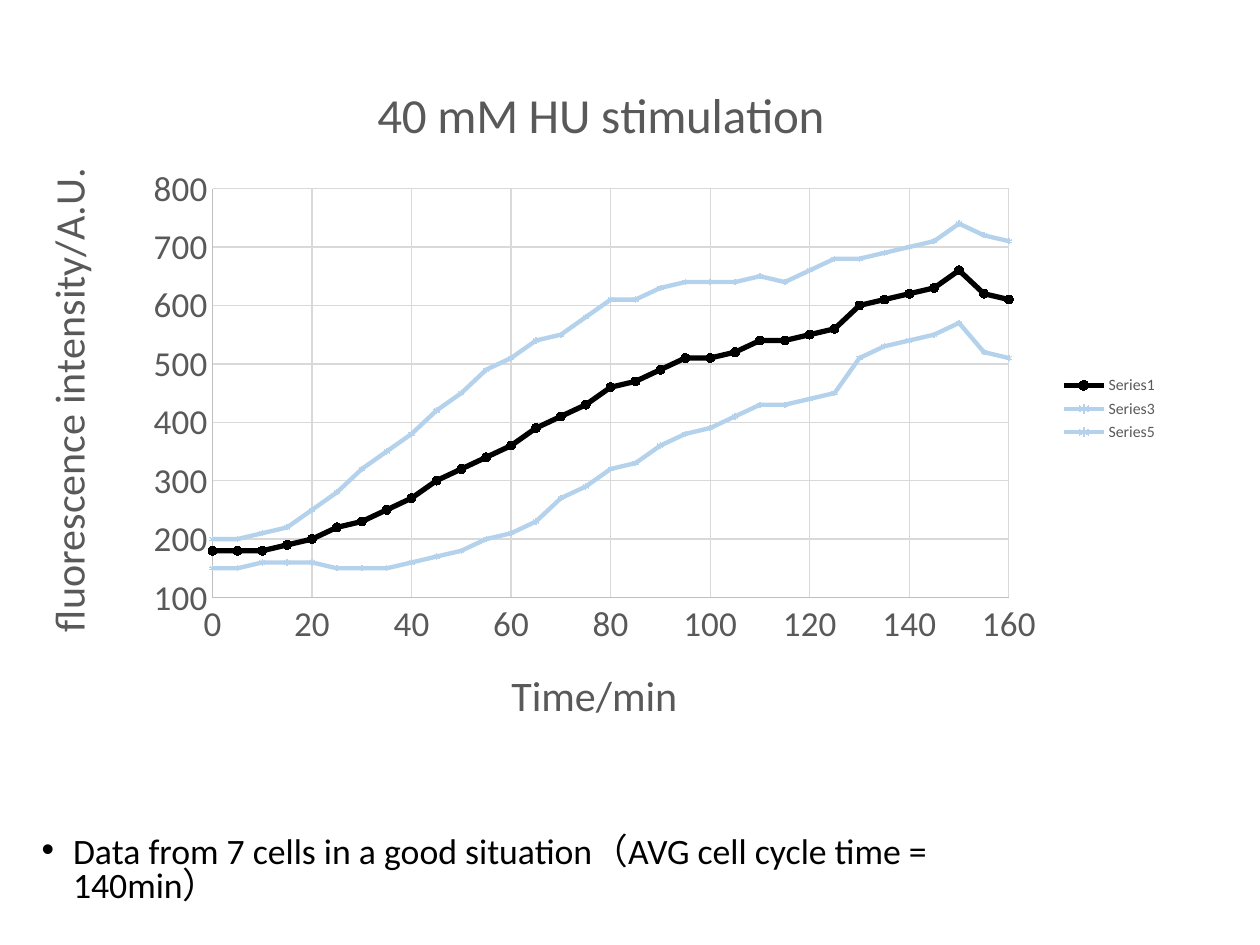
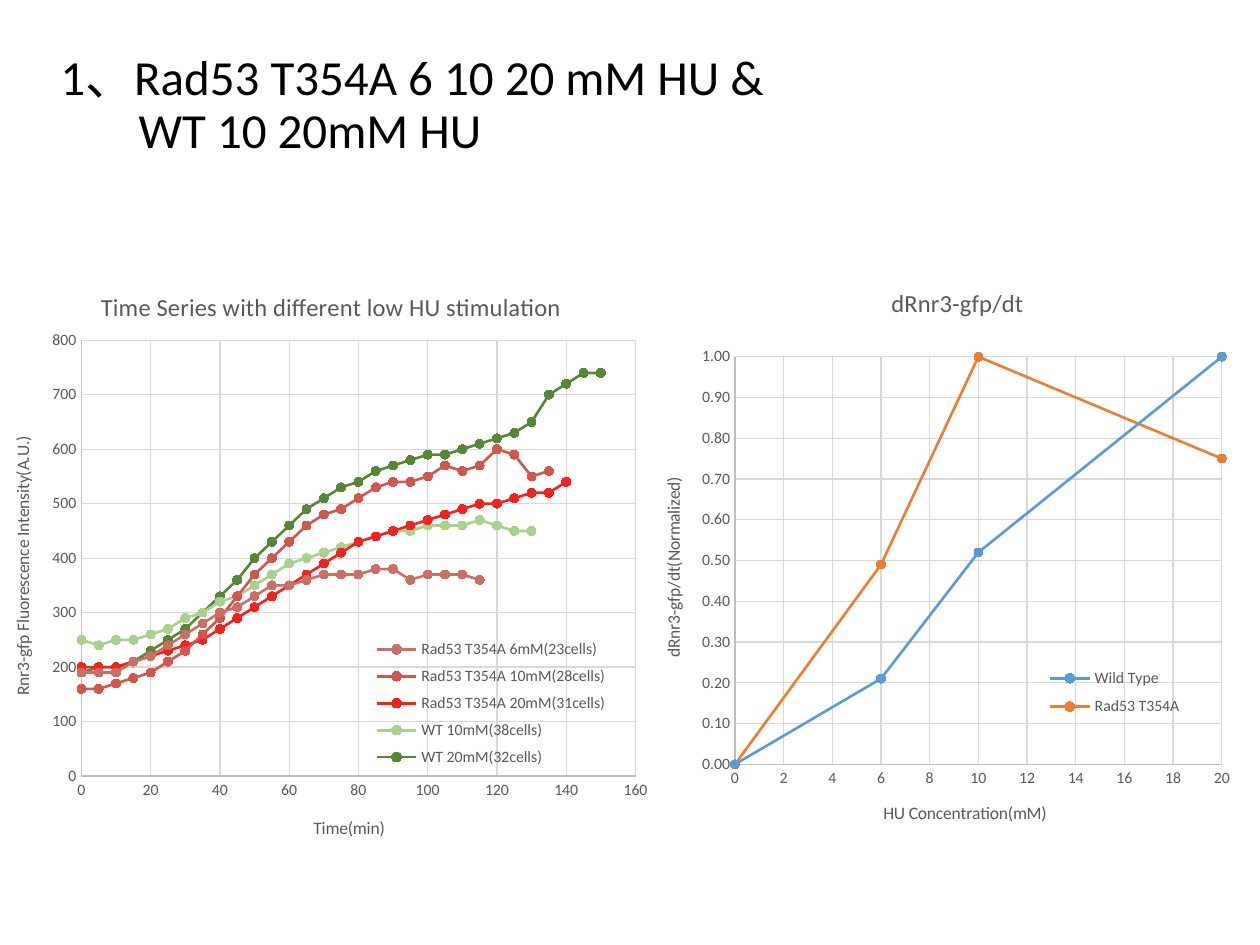
from lxml import etree
from pptx import Presentation
from pptx.chart.data import XyChartData
from pptx.dml.color import RGBColor
from pptx.enum.chart import XL_CHART_TYPE, XL_LEGEND_POSITION, XL_MARKER_STYLE, XL_TICK_MARK
from pptx.enum.text import MSO_ANCHOR, MSO_AUTO_SIZE, PP_ALIGN
from pptx.oxml.ns import qn
from pptx.util import Inches, Pt

SCATTER = XL_CHART_TYPE.XY_SCATTER_LINES
LEGEND_RIGHT = XL_LEGEND_POSITION.RIGHT
CIRCLE, STAR = XL_MARKER_STYLE.CIRCLE, XL_MARKER_STYLE.STAR
NO_TICK = XL_TICK_MARK.NONE
LEFT, MIDDLE = PP_ALIGN.LEFT, MSO_ANCHOR.MIDDLE
NO_FIT = MSO_AUTO_SIZE.NONE

FONT = "Calibri"
COLORS = {
    "text": "000000", "label": "595959", "grid": "D9D9D9", "axis": "BFBFBF",
    "mean": "000000", "band": "B5D2EC",
    "mutant6": "CB6F65", "mutant10": "D1564D", "mutant20": "F4211C",
    "wild10": "A9D18E", "wild20": "568636",
    "blue": "5B9BD5", "orange": "ED7D31",
}
STEP_MINUTES = 5
DOSES = [0, 6, 10, 20]

NOTE = "Data from 7 cells in a good situation（AVG cell cycle time = 140min）"
NOTE_BOX = (0.23, 6.59, 8.44, 0.58)
TITLE_LINES = [("1、Rad53 T354A 6 10 20 mM HU &", 0), ("WT 10 20mM HU", 0.62)]
TITLE_BOX = (0.38, 0.12, 8.62, 1.45)

STIMULATION = {
    "box": (0.26, 0.48, 9.03, 5.53),
    "plot": (0.158, 0.184, 0.7, 0.587),
    "title": ("40 mM HU stimulation", 28, (0.295, 0.018)),
    "x": {"title": ("Time/min", 24, (0.414, 0.86)), "size": 20, "scale": (0, 160, 20)},
    "y": {"title": ("fluorescence intensity/A.U.", 24, (0, 0.144)), "size": 20,
          "scale": (100, 800, 100)},
    "format": "General",
    "legend": None,
    "series": [
        ("Series1", "mean", 3, CIRCLE, 5,
         [180, 180, 180, 190, 200, 220, 230, 250, 270, 300, 320, 340, 360, 390, 410, 430, 460,
          470, 490, 510, 510, 520, 540, 540, 550, 560, 600, 610, 620, 630, 660, 620, 610]),
        ("Series3", "band", 2.5, STAR, 3,
         [200, 200, 210, 220, 250, 280, 320, 350, 380, 420, 450, 490, 510, 540, 550, 580, 610,
          610, 630, 640, 640, 640, 650, 640, 660, 680, 680, 690, 700, 710, 740, 720, 710]),
        ("Series5", "band", 2.5, STAR, 3,
         [150, 150, 160, 160, 160, 150, 150, 150, 160, 170, 180, 200, 210, 230, 270, 290, 320,
          330, 360, 380, 390, 410, 430, 430, 440, 450, 510, 530, 540, 550, 570, 520, 510]),
    ],
}
TIME_SERIES = {
    "box": (-0.06, 2.12, 5.39, 4.88),
    "plot": (0.131, 0.119, 0.816, 0.709),
    "title": ("Time Series with different low HU stimulation", 14, (0.153, 0.03)),
    "x": {"title": ("Time(min)", 10, (0.468, 0.889)), "size": 9, "scale": (0, 160, 20)},
    "y": {"title": ("Rnr3-gfp Fluorescence Intensity(A.U.)", 10, (0.023, 0.27)), "size": 9,
          "scale": (0, 800, 100)},
    "format": "General",
    "legend": (0.559, 0.593, 0.35, 0.233),
    "series": [
        ("Rad53 T354A 6mM(23cells)", "mutant6", 1.5, CIRCLE, 5,
         [190, 190, 190, 210, 220, 240, 260, 280, 300, 310, 330, 350, 350, 360, 370, 370, 370,
          380, 380, 360, 370, 370, 370, 360]),
        ("Rad53 T354A 10mM(28cells)", "mutant10", 1.5, CIRCLE, 5,
         [160, 160, 170, 180, 190, 210, 230, 260, 290, 330, 370, 400, 430, 460, 480, 490, 510,
          530, 540, 540, 550, 570, 560, 570, 600, 590, 550, 560]),
        ("Rad53 T354A 20mM(31cells)", "mutant20", 1.5, CIRCLE, 5,
         [200, 200, 200, 210, 220, 230, 240, 250, 270, 290, 310, 330, 350, 370, 390, 410, 430,
          440, 450, 460, 470, 480, 490, 500, 500, 510, 520, 520, 540]),
        ("WT 10mM(38cells)", "wild10", 1.5, CIRCLE, 5,
         [250, 240, 250, 250, 260, 270, 290, 300, 320, 330, 350, 370, 390, 400, 410, 420, 430,
          440, 450, 450, 460, 460, 460, 470, 460, 450, 450]),
        ("WT 20mM(32cells)", "wild20", 1.5, CIRCLE, 5,
         [190, 200, 200, 210, 230, 250, 270, 300, 330, 360, 400, 430, 460, 490, 510, 530, 540,
          560, 570, 580, 590, 590, 600, 610, 620, 630, 650, 700, 720, 740, 740]),
    ],
}
DOSE_RESPONSE = {
    "box": (5.2, 2.09, 4.8, 4.88),
    "plot": (0.132, 0.152, 0.805, 0.663),
    "title": ("dRnr3-gfp/dt", 14, (0.383, 0.029)),
    "x": {"title": ("HU Concentration(mM)", 10, (0.372, 0.871)), "size": 9, "scale": (0, 20, 2)},
    "y": {"title": ("dRnr3-gfp/dt(Normalized)", 10, (0.006, 0.342)), "size": 9,
          "scale": (0, 1, 0.1)},
    "format": "0.00",
    "legend": (0.645, 0.644, 0.23, 0.108),
    "doses": DOSES,
    "series": [
        ("Wild Type", "blue", 1.5, CIRCLE, 5, [0, 0.21, 0.52, 1]),
        ("Rad53 T354A", "orange", 1.5, CIRCLE, 5, [0, 0.49, 1, 0.75]),
    ],
}


def color(name):
    return RGBColor.from_string(COLORS[name])


def apply(target, values):
    for name, value in values.items():
        setattr(target, name, value)


def format_font(font, size, color_name):
    apply(font, {"size": Pt(size), "name": FONT, "bold": False})
    font.color.rgb = color(color_name)


def format_line(line, color_name, width):
    line.color.rgb = color(color_name)
    line.width = Pt(width)


def place(shape, box):
    apply(shape, dict(zip(("left", "top", "width", "height"), map(Inches, box))))


def set_layout(element, shares, index=0, inner=False):
    layout = element.find(qn("c:layout"))
    if layout is None:
        layout = etree.Element(qn("c:layout"))
        element.insert(index, layout)
    manual = etree.SubElement(layout, qn("c:manualLayout"))
    settings = [("layoutTarget", "inner")] if inner else []
    settings += [("xMode", "edge"), ("yMode", "edge")] + list(zip("xywh", shares))
    for tag, value in settings:
        etree.SubElement(manual, qn("c:" + tag)).set("val", str(value))


def add_heading(title, content):
    text, size, position = content
    title.text_frame.text = text
    format_font(title.text_frame.paragraphs[0].runs[0].font, size, "label")
    set_layout(title._element, position, index=1)


def format_axis(axis, settings):
    low, high, step = settings["scale"]
    apply(axis, {"minimum_scale": low, "maximum_scale": high, "major_unit": step,
                 "major_tick_mark": NO_TICK, "minor_tick_mark": NO_TICK,
                 "has_major_gridlines": True, "has_title": True})
    format_line(axis.major_gridlines.format.line, "grid", 0.75)
    format_line(axis.format.line, "axis", 0.75)
    format_font(axis.tick_labels.font, settings["size"], "label")
    add_heading(axis.axis_title, settings["title"])


def build_data(content):
    data = XyChartData()
    count = max(len(values) for *_, values in content["series"])
    positions = content.get("doses") or [STEP_MINUTES * i for i in range(count)]
    for name, *_, values in content["series"]:
        series = data.add_series(name)
        padded = values + [None] * (count - len(values))
        for position, value in zip(positions, padded):
            series.add_data_point(position, value)
    return data


def drop_blank_points(chart):
    for point in list(chart._chartSpace.iter(qn("c:pt"))):
        if point.findtext(qn("c:v")) in ("None", ""):
            point.getparent().remove(point)


def add_scatter(slide, content):
    box = map(Inches, content["box"])
    chart = slide.shapes.add_chart(SCATTER, *box, build_data(content)).chart
    drop_blank_points(chart)
    format_font(chart.font, 10, "text")
    apply(chart, {"has_title": True, "has_legend": True})
    add_heading(chart.chart_title, content["title"])
    format_axis(chart.category_axis, content["x"])
    format_axis(chart.value_axis, content["y"])
    apply(chart.value_axis.tick_labels,
          {"number_format": content["format"], "number_format_is_linked": False})
    body = chart.value_axis.axis_title.text_frame._txBody.find(qn("a:bodyPr"))
    body.set("rot", "-5400000")
    body.set("vert", "horz")
    set_layout(chart._chartSpace.find(".//" + qn("c:plotArea")), content["plot"], inner=True)

    legend = chart.legend
    apply(legend, {"position": LEGEND_RIGHT, "include_in_layout": content["legend"] is not None})
    format_font(legend.font, 9, "label")
    if content["legend"]:
        set_layout(legend._element, content["legend"], index=1)

    plot = chart.plots[0]
    plot.vary_by_categories = False
    for series, (_, color_name, width, style, size, _) in zip(plot.series, content["series"]):
        format_line(series.format.line, color_name, width)
        apply(series.marker, {"style": style, "size": size})
        format_line(series.marker.format.line, color_name, 0.75)
        if style == CIRCLE:
            series.marker.format.fill.solid()
            series.marker.format.fill.fore_color.rgb = color(color_name)
        else:
            series.marker.format.fill.background()


def add_note(slide):
    title = slide.shapes.title._element
    title.getparent().remove(title)
    note = slide.placeholders[1]
    place(note, NOTE_BOX)
    frame = note.text_frame
    frame.text = NOTE
    apply(frame, {"word_wrap": True, "auto_size": NO_FIT})
    paragraph = frame.paragraphs[0]
    properties = paragraph._p.get_or_add_pPr()
    properties.set("marL", str(Inches(0.25)))
    properties.set("indent", str(Inches(-0.25)))
    etree.SubElement(properties, qn("a:buChar")).set("char", "•")
    apply(paragraph, {"line_spacing": 0.8, "space_before": Pt(0), "alignment": LEFT})
    format_font(paragraph.runs[0].font, 20.4, "text")


def add_title(slide):
    title = slide.shapes.title
    place(title, TITLE_BOX)
    frame = title.text_frame
    frame.text = "\n".join(text for text, _ in TITLE_LINES)
    apply(frame, {"vertical_anchor": MIDDLE, "word_wrap": True, "auto_size": NO_FIT})
    for paragraph, (_, indent) in zip(frame.paragraphs, TITLE_LINES):
        paragraph._p.get_or_add_pPr().set("marL", str(Inches(indent)))
        apply(paragraph, {"alignment": LEFT, "line_spacing": 0.9, "space_before": Pt(0)})
        format_font(paragraph.runs[0].font, 28, "text")


def main():
    presentation = Presentation()
    apply(presentation, {"slide_width": Inches(10), "slide_height": Inches(7.5)})
    layouts = presentation.slide_layouts

    stimulation_slide = presentation.slides.add_slide(layouts.get_by_name("Title and Content"))
    add_note(stimulation_slide)
    add_scatter(stimulation_slide, STIMULATION)

    comparison_slide = presentation.slides.add_slide(layouts.get_by_name("Title Only"))
    add_title(comparison_slide)
    for content in (TIME_SERIES, DOSE_RESPONSE):
        add_scatter(comparison_slide, content)
    presentation.save("out.pptx")


if __name__ == "__main__":
    main()
